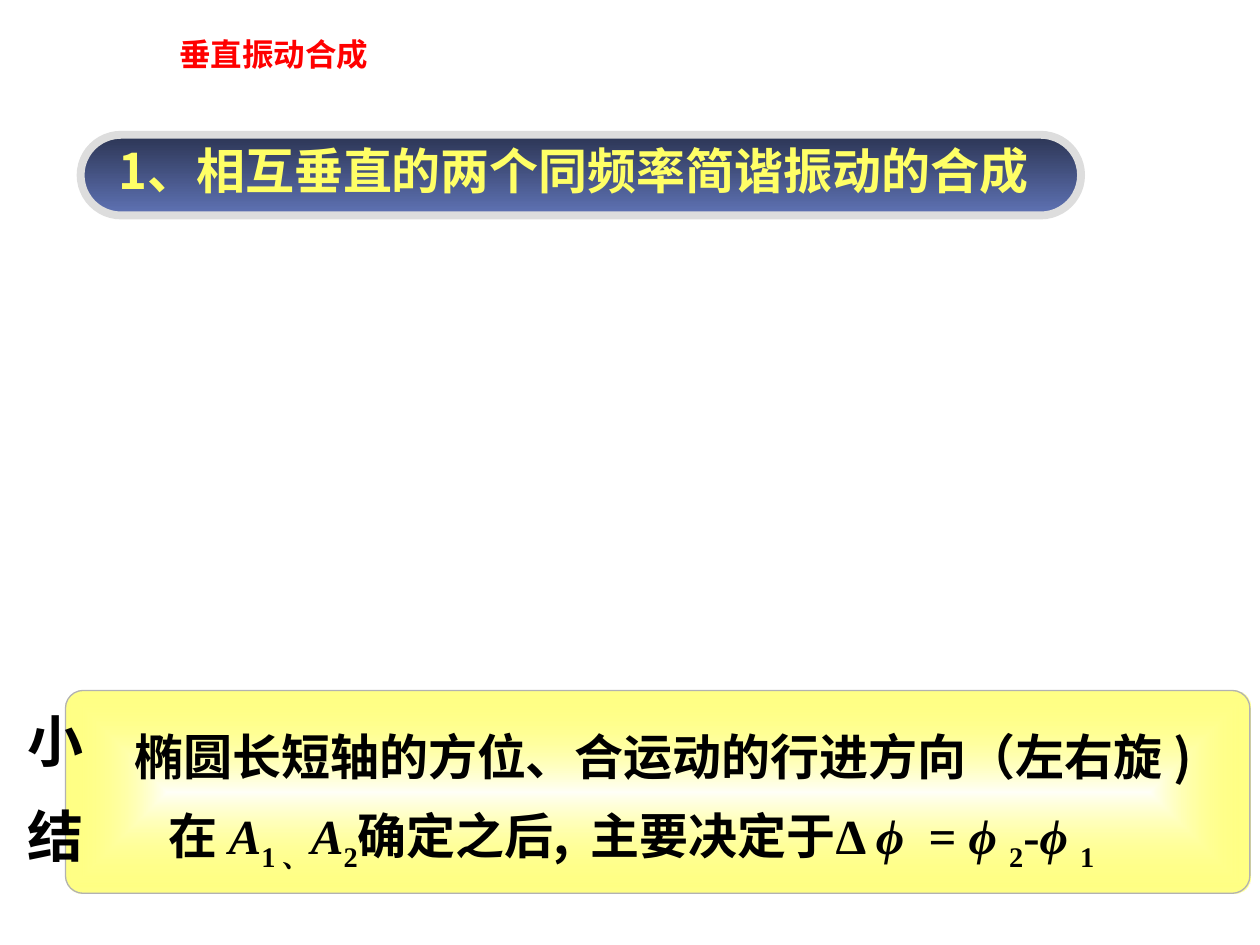
from dataclasses import dataclass
from typing import Optional

from lxml import etree
from pptx import Presentation
from pptx.dml.color import RGBColor
from pptx.enum.shapes import MSO_SHAPE
from pptx.enum.text import MSO_ANCHOR, MSO_AUTO_SIZE, PP_ALIGN
from pptx.oxml import parse_xml
from pptx.oxml.ns import nsdecls, qn
from pptx.util import Inches, Pt

ROUNDED = MSO_SHAPE.ROUNDED_RECTANGLE
TOP = MSO_ANCHOR.TOP
NO_AUTOFIT = MSO_AUTO_SIZE.NONE
LEFT, CENTER, JUSTIFY = PP_ALIGN.LEFT, PP_ALIGN.CENTER, PP_ALIGN.JUSTIFY
TITLE_ONLY = 5


@dataclass(frozen=True)
class Theme:
    hanzi: str = "Noto Sans CJK SC"
    math: str = "Times New Roman"
    label: str = "Arial"
    topic: str = "FF0000"
    heading: str = "FFFF66"
    ink: str = "000000"
    pill_top: str = "2C3554"
    pill_bottom: str = "5F73B5"
    pill_edge: str = "DDDDDD"
    panel_center: str = "FFFFF7"
    panel_rim: str = "FFFF00"
    panel_edge: str = "B2B2B2"
    topic_size: int = 18
    body_size: int = 28
    label_size: int = 32


@dataclass(frozen=True)
class Box:
    left: float
    top: float
    width: float
    height: float

    def emu(self):
        return [Inches(v) for v in (self.left, self.top, self.width, self.height)]


@dataclass(frozen=True)
class Piece:
    text: str
    font: Optional[str] = None
    italic: bool = False
    subscript: bool = False
    spacing: int = 0


@dataclass(frozen=True)
class Line:
    pieces: tuple
    align: PP_ALIGN = LEFT
    spacing: float = 1.0
    indent: float = 0
    before: float = 0


THEME = Theme()


def set_face(font, face: str):
    font.name = face
    east_asian = etree.SubElement(font._element, qn("a:ea"))
    east_asian.set("typeface", face)


def write(shape, lines: list, face: str, size: int, color: str, wrap: bool = True):
    frame = shape.text_frame
    frame.auto_size = NO_AUTOFIT
    frame.word_wrap = wrap
    frame.vertical_anchor = TOP
    for number, line in enumerate(lines):
        paragraph = frame.add_paragraph() if number else frame.paragraphs[0]
        paragraph.alignment = line.align
        paragraph.line_spacing = line.spacing
        paragraph.space_before = Pt(line.before)
        if line.indent:
            paragraph._p.get_or_add_pPr().set("indent", str(Inches(line.indent)))
        paragraph.font.size = Pt(size)
        paragraph.font.bold = True
        paragraph.font.color.rgb = RGBColor.from_string(color)
        set_face(paragraph.font, face)
        for piece in line.pieces:
            run = paragraph.add_run()
            run.text = piece.text
            if piece.font:
                set_face(run.font, piece.font)
            if piece.italic:
                run.font.italic = True
            if piece.subscript:
                run.font._element.set("baseline", "-25000")
            if piece.spacing:
                run.font._element.set("spc", str(piece.spacing))


def add_panel(slide, box: Box, rounding: float, edge: str, weight: float):
    panel = slide.shapes.add_shape(ROUNDED, *box.emu())
    panel.adjustments[0] = rounding
    panel.shadow.inherit = False
    panel.line.color.rgb = RGBColor.from_string(edge)
    panel.line.width = Pt(weight)
    panel.fill.gradient()
    return panel


def fill_downward(panel, top: str, bottom: str):
    panel.fill.gradient_angle = 270
    for stop, color, position in zip(panel.fill.gradient_stops, (top, bottom), (0, 1)):
        stop.color.rgb = RGBColor.from_string(color)
        stop.position = position


def fill_outward(panel, center: str, rim: str, opacity: int):
    gradient = parse_xml(
        f'<a:gradFill {nsdecls("a")} rotWithShape="1"><a:gsLst>'
        f'<a:gs pos="0"><a:srgbClr val="{center}"/></a:gs>'
        f'<a:gs pos="100000"><a:srgbClr val="{rim}">'
        f'<a:alpha val="{opacity * 1000}"/></a:srgbClr></a:gs></a:gsLst>'
        '<a:path path="shape"><a:fillToRect l="50000" t="50000" r="50000" b="50000"/>'
        "</a:path></a:gradFill>"
    )
    properties = panel._element.spPr
    properties.replace(properties.find(qn("a:gradFill")), gradient)


def symbol(text: str, spacing: int = 0) -> Piece:
    return Piece(text, THEME.math, italic=True, spacing=spacing)


def upright(text: str) -> Piece:
    return Piece(text, THEME.math)


def sub(text: str) -> Piece:
    return Piece(text, THEME.math, subscript=True)


CONCLUSION = [
    Line((Piece("椭圆长短轴的方位、合运动的行进方向（左右旋 )"),), JUSTIFY, 1.3),
    Line((
        Piece("在 "), symbol("A"), sub("1 、"), symbol("A"), sub("2"),
        Piece("确定之后"), Piece(", ", spacing=300), Piece("主要决定于"),
        upright("Δ "), symbol("ϕ ", 350), upright("= "),
        symbol("ϕ "), sub("2"), upright("-"), symbol("ϕ "), sub("1"),
    ), JUSTIFY, 1.3, indent=0.27),
]


def main():
    deck = Presentation()
    deck.slide_width, deck.slide_height = Inches(10), Inches(7.5)
    slide = deck.slides.add_slide(deck.slide_layouts[TITLE_ONLY])

    pill = add_panel(slide, Box(0.64, 1.07, 7.94, 0.64), 0.5, THEME.pill_edge, 4.5)
    fill_downward(pill, THEME.pill_top, THEME.pill_bottom)
    heading = slide.shapes.title
    pill._element.addnext(heading._element)
    heading.left, heading.top, heading.width, heading.height = Box(0.84, 1.14, 7.79, 0.5).emu()
    write(heading, [Line((Piece("1、相互垂直的两个同频率简谐振动的合成"),), spacing=0.85)],
          THEME.hanzi, THEME.body_size, THEME.heading)

    summary = add_panel(slide, Box(0.52, 5.48, 9.4, 1.61), 0.087, THEME.panel_edge, 0.75)
    fill_outward(summary, THEME.panel_center, THEME.panel_rim, 47)
    label = slide.shapes.add_textbox(*Box(0.12, 5.56, 0.64, 1.4).emu())
    write(label, [Line((Piece("小"),)), Line((Piece("结"),), before=16)],
          THEME.label, THEME.label_size, THEME.ink)
    conclusion = slide.shapes.add_textbox(*Box(0.97, 5.58, 9.03, 1.32).emu())
    write(conclusion, CONCLUSION, THEME.hanzi, THEME.body_size, THEME.ink)

    topic = slide.shapes.add_textbox(*Box(0.91, 0.23, 2.53, 0.43).emu())
    write(topic, [Line((Piece("垂直振动合成"),), CENTER)],
          THEME.hanzi, THEME.topic_size, THEME.topic, wrap=False)

    deck.save("out.pptx")


if __name__ == "__main__":
    main()
